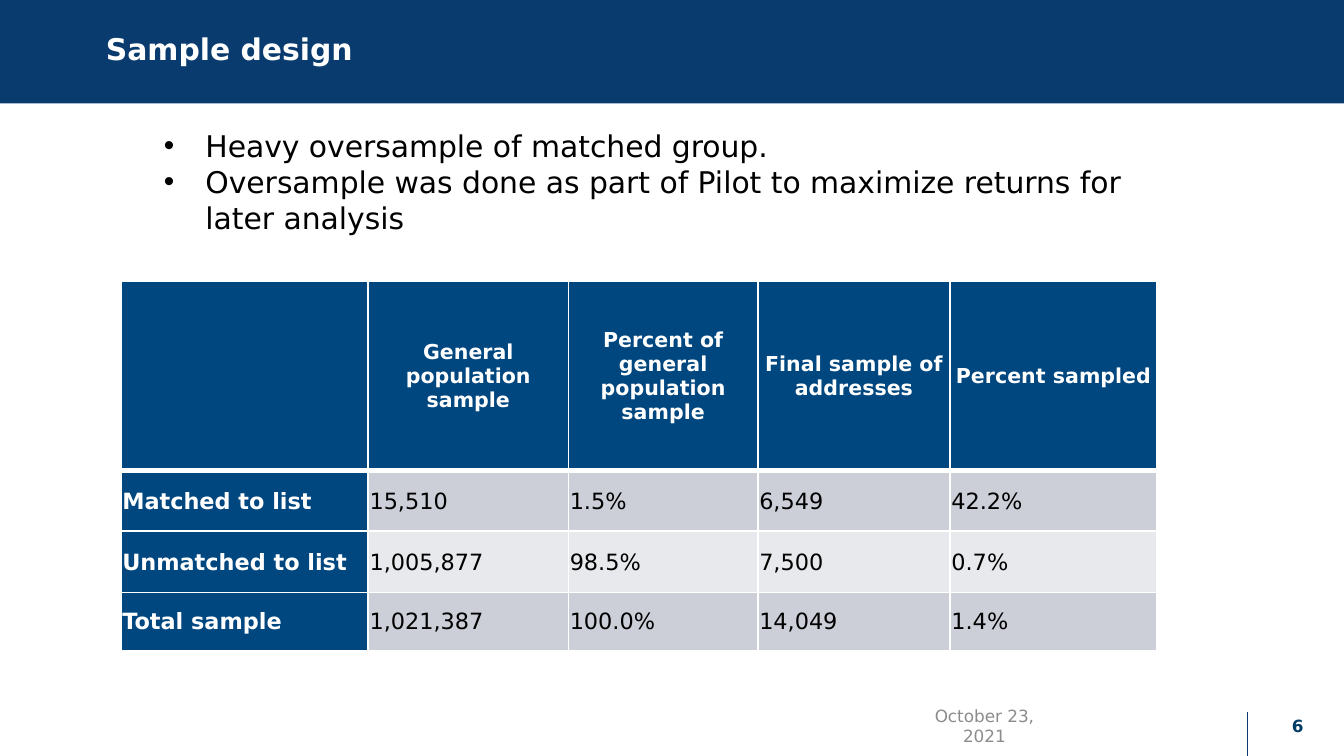
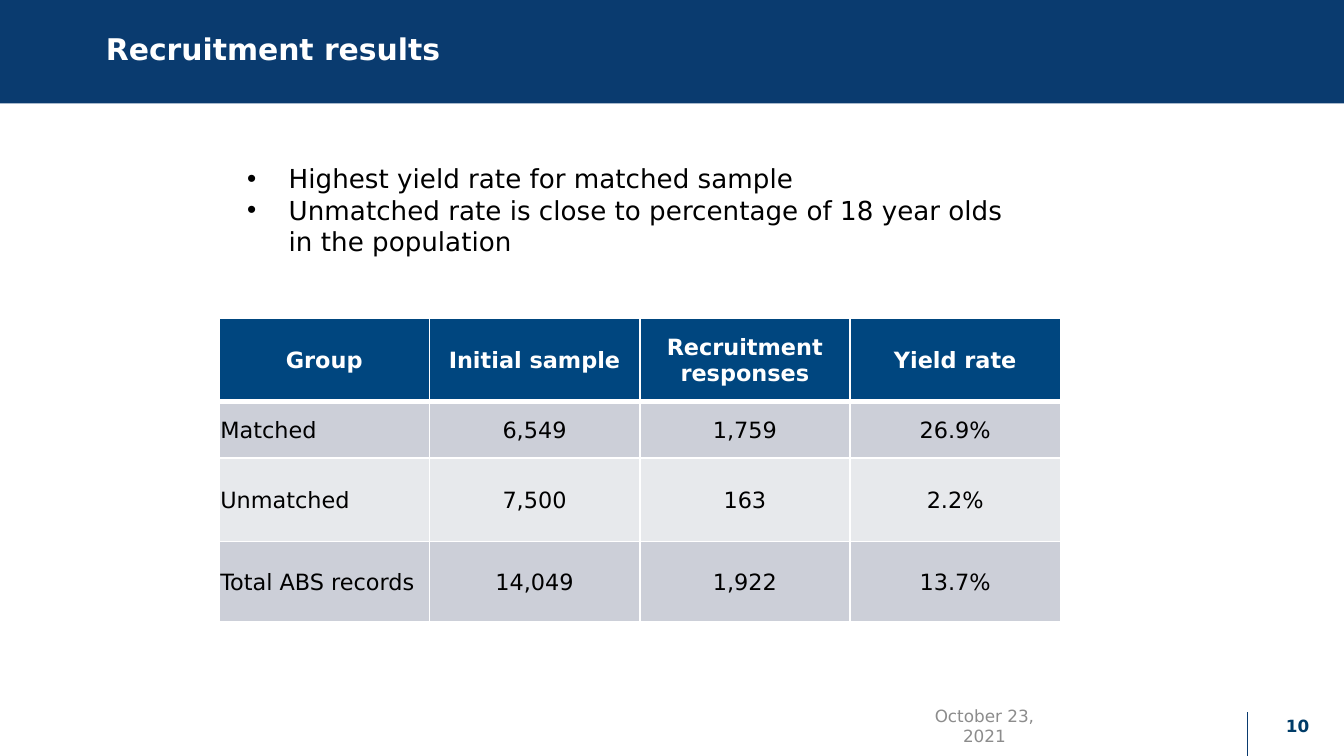
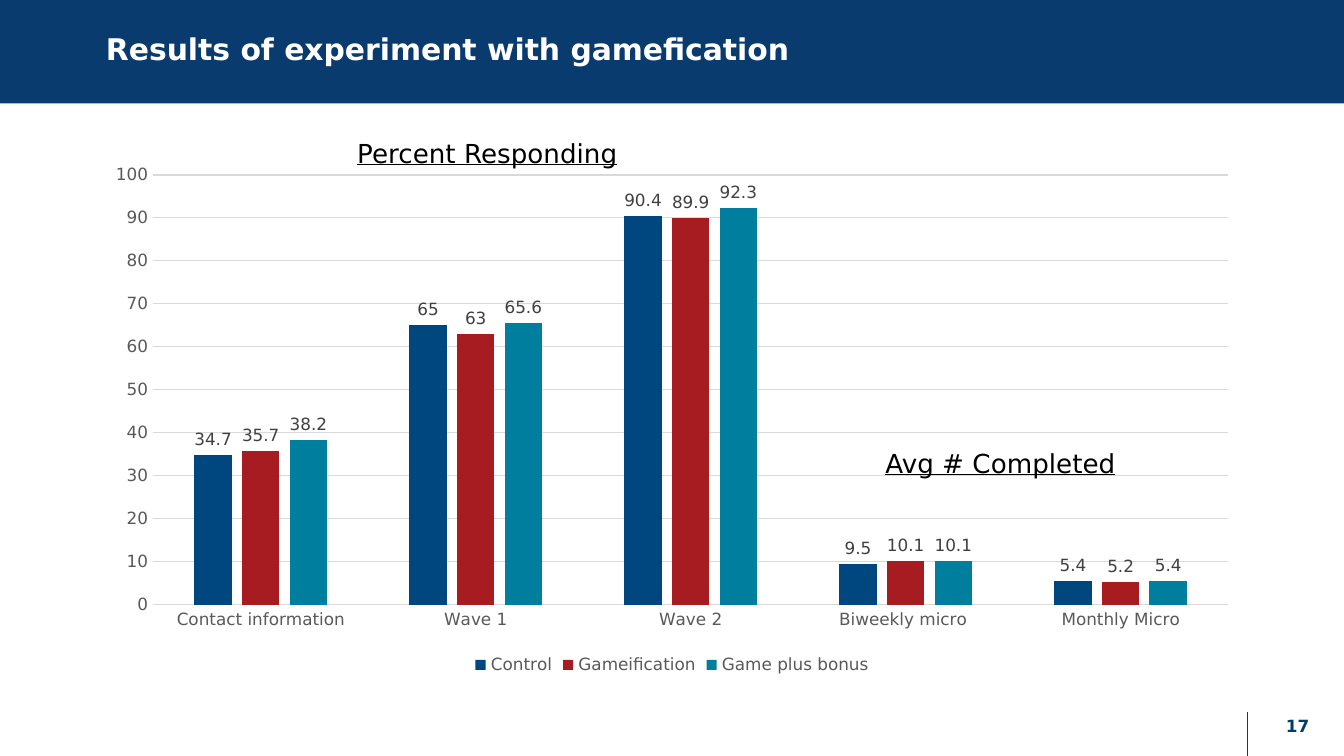
from lxml import etree
from pptx import Presentation
from pptx.chart.data import CategoryChartData
from pptx.dml.color import RGBColor
from pptx.enum.chart import XL_CHART_TYPE as ChartType
from pptx.enum.chart import XL_LABEL_POSITION as LabelPos
from pptx.enum.chart import XL_LEGEND_POSITION as LegendPos
from pptx.enum.chart import XL_TICK_MARK as TickMark
from pptx.enum.shapes import MSO_CONNECTOR as Connector
from pptx.enum.shapes import MSO_SHAPE as Shape
from pptx.enum.text import MSO_ANCHOR as Anchor
from pptx.enum.text import PP_ALIGN as Align
from pptx.oxml.ns import qn
from pptx.util import Inches, Pt

FONT = "DejaVu Sans"
BAND = "0A3B6F"
HEADER = "00467F"
ROW_FILLS = ["CCCFD8", "E7E9EC"]
SERIES_COLORS = [HEADER, "A71C20", "007E9D"]
WHITE, BLACK = "FFFFFF", "000000"
DATE_GRAY, PAGE_BLUE = "8C8C8C", "003C68"
AXIS_GRAY, LABEL_GRAY, GRID_GRAY = "595959", "404040", "D9D9D9"


def rgb(color):
    return RGBColor.from_string(color)


def set_font(font, size, color, bold=False, underline=False):
    font.name = FONT
    font.size = Pt(size)
    font.color.rgb = rgb(color)
    font.bold = bold
    font.underline = underline


def add_run(p, text, size, color, **style):
    r = p.add_run()
    r.text = text
    set_font(r.font, size, color, **style)


def add_box(slide, box, anchor=Anchor.TOP):
    tf = slide.shapes.add_textbox(*map(Inches, box)).text_frame
    tf.word_wrap = True
    tf.vertical_anchor = anchor
    return tf


def add_label(slide, box, text, size, color, align=Align.LEFT,
              anchor=Anchor.MIDDLE, **style):
    p = add_box(slide, box, anchor).paragraphs[0]
    p.alignment = align
    add_run(p, text, size, color, **style)
    return p


def add_band(slide, title):
    band = slide.shapes.add_shape(Shape.RECTANGLE, 0, 0, Inches(10), Inches(0.77))
    band.shadow.inherit = False
    band.fill.solid()
    band.fill.fore_color.rgb = rgb(BAND)
    band.line.fill.background()
    p = add_label(slide, (0.69, 0, 8.15, 0.76), title, 16, WHITE, bold=True)
    p.line_spacing = 0.9


def add_footer(slide, number, date):
    x = Inches(9.28)
    rule = slide.shapes.add_connector(Connector.STRAIGHT, x, Inches(5.3), x, Inches(5.67))
    rule.line.color.rgb = rgb(BAND)
    rule.line.width = Pt(0.75)
    etree.SubElement(rule._element.spPr, qn("a:effectLst"))
    if date:
        add_label(slide, (6.76, 5.25, 1.13, 0.3), date, 9, DATE_GRAY, Align.CENTER)
    add_label(slide, (9.31, 5.25, 0.69, 0.3), str(number), 9, PAGE_BLUE,
              Align.CENTER, bold=True)


def add_slide(prs, title, number, date=None):
    slide = prs.slides.add_slide(prs.slide_layouts[6])
    add_band(slide, title)
    add_footer(slide, number, date)
    return slide


def add_bullets(slide, box, items, size):
    tf = add_box(slide, box)
    indent = Inches(0.31)
    for i, item in enumerate(items):
        p = tf.add_paragraph() if i else tf.paragraphs[0]
        pPr = p._p.get_or_add_pPr()
        pPr.set("marL", str(indent))
        pPr.set("indent", str(-indent))
        etree.SubElement(pPr, qn("a:buFont"), typeface="Arial")
        etree.SubElement(pPr, qn("a:buChar"), char="•")
        add_run(p, item, size, BLACK)


def set_borders(cell, top, bottom):
    """Draw white cell borders; top and bottom widths are in points."""
    tcPr = cell._tc.get_or_add_tcPr()
    for side, width in (("L", 1), ("R", 1), ("T", top), ("B", bottom)):
        ln = etree.SubElement(tcPr, qn("a:ln" + side), w=str(Pt(width)))
        fill = etree.SubElement(ln, qn("a:solidFill"))
        etree.SubElement(fill, qn("a:srgbClr"), val=WHITE)


def add_data_table(slide, left, top, widths, heights, rows, head_size,
                   row_heads=False, value_align=Align.LEFT):
    frame = slide.shapes.add_table(
        len(rows), len(widths), Inches(left), Inches(top),
        Inches(sum(widths)), Inches(sum(heights)))
    table = frame.table
    table.horz_banding = False
    for column, width in zip(table.columns, widths):
        column.width = Inches(width)
    for i, (row, height) in enumerate(zip(rows, heights)):
        table.rows[i].height = Inches(height)
        for j, text in enumerate(row):
            cell = table.cell(i, j)
            is_head = i == 0 or (row_heads and j == 0)
            set_borders(cell, 3 if i == 1 else 1, 3 if i == 0 else 1)
            cell.fill.solid()
            cell.fill.fore_color.rgb = rgb(HEADER if is_head else ROW_FILLS[(i - 1) % 2])
            cell.vertical_anchor = Anchor.MIDDLE
            cell.margin_left = cell.margin_right = cell.margin_top = Inches(0.01)
            cell.margin_bottom = 0
            p = cell.text_frame.paragraphs[0]
            if i == 0:
                p.alignment = Align.CENTER
            else:
                p.alignment = value_align if j else Align.LEFT
            if text:
                add_run(p, text, 12 if i else head_size,
                        WHITE if is_head else BLACK, bold=is_head)


def style_axes(chart):
    for axis in (chart.category_axis, chart.value_axis):
        axis.major_tick_mark = axis.minor_tick_mark = TickMark.NONE
        set_font(axis.tick_labels.font, 9, AXIS_GRAY)
    cat_line = chart.category_axis.format.line
    value_axis = chart.value_axis
    value_axis.minimum_scale, value_axis.maximum_scale = 0, 100
    value_axis.major_unit = 10
    value_axis.has_major_gridlines = True
    value_axis.format.line.fill.background()
    for line in (cat_line, value_axis.major_gridlines.format.line):
        line.color.rgb = rgb(GRID_GRAY)
        line.width = Pt(0.75)


def add_column_chart(slide, box, categories, series):
    data = CategoryChartData()
    data.categories = categories
    for name, values in series.items():
        data.add_series(name, values)
    chart = slide.shapes.add_chart(
        ChartType.COLUMN_CLUSTERED, *map(Inches, box), data).chart
    set_font(chart.font, 10, BLACK)
    chart.has_title = False
    chart.has_legend = True
    chart.legend.position = LegendPos.BOTTOM
    chart.legend.include_in_layout = False
    set_font(chart.legend.font, 9, AXIS_GRAY)
    style_axes(chart)
    plot = chart.plots[0]
    plot.vary_by_categories = False
    plot.gap_width, plot.overlap = 219, -27
    for ser, color in zip(plot.series, SERIES_COLORS):
        ser.invert_if_negative = False
        ser.format.fill.solid()
        ser.format.fill.fore_color.rgb = rgb(color)
        labels = ser.data_labels
        labels.show_value = True
        labels.position = LabelPos.OUTSIDE_END
        set_font(labels.font, 9, LABEL_GRAY)


def sample_design_slide(prs, date):
    slide = add_slide(prs, "Sample design", 6, date)
    add_data_table(
        slide, 0.9, 2.09, [1.84, 1.49, 1.41, 1.43, 1.54], [1.41, 0.45, 0.46, 0.43],
        [["", "General population sample", "Percent of general population sample",
          "Final sample of addresses", "Percent sampled"],
         ["Matched to list", "15,510", "1.5%", "6,549", "42.2%"],
         ["Unmatched to list", "1,005,877", "98.5%", "7,500", "0.7%"],
         ["Total sample", "1,021,387", "100.0%", "14,049", "1.4%"]],
        head_size=11, row_heads=True)
    add_bullets(slide, (1.12, 0.9, 7.51, 0.91), [
        "Heavy oversample of matched group.",
        "Oversample was done as part of Pilot to maximize returns for later analysis",
    ], 16)


def recruitment_slide(prs, date):
    slide = add_slide(prs, "Recruitment results", 10, date)
    add_data_table(
        slide, 1.63, 2.37, [6.26 / 4] * 4, [0.62, 0.42, 0.62, 0.6],
        [["Group", "Initial sample", "Recruitment responses", "Yield rate"],
         ["Matched", "6,549", "1,759", "26.9%"],
         ["Unmatched", "7,500", "163", "2.2%"],
         ["Total ABS records", "14,049", "1,922", "13.7%"]],
        head_size=12, value_align=Align.CENTER)
    add_bullets(slide, (1.74, 1.16, 6.05, 0.81), [
        "Highest yield rate for matched sample",
        "Unmatched rate is close to percentage of 18 year olds in the population",
    ], 14)


def experiment_slide(prs):
    slide = add_slide(prs, "Results of experiment with gamefication", 17)
    add_column_chart(
        slide, (0.69, 1.15, 8.62, 3.91),
        ["Contact information", "Wave 1", "Wave 2", "Biweekly micro ", "Monthly Micro"],
        {"Control": [34.7, 65, 90.4, 9.5, 5.4],
         "Gameification": [35.7, 63, 89.9, 10.1, 5.2],
         "Game plus bonus": [38.2, 65.6, 92.3, 10.1, 5.4]})
    for text, box in (("Percent Responding", (2.56, 0.97, 2.76, 0.34)),
                      ("Avg # Completed", (6.49, 3.28, 2.5, 0.34))):
        add_label(slide, box, text, 14, BLACK, anchor=Anchor.TOP, underline=True)


def main():
    prs = Presentation()
    prs.slide_width = Inches(10)
    prs.slide_height = prs.slide_width * 9 // 16
    date = "October 23, 2021"
    sample_design_slide(prs, date)
    recruitment_slide(prs, date)
    experiment_slide(prs)
    prs.save("out.pptx")


if __name__ == "__main__":
    main()
